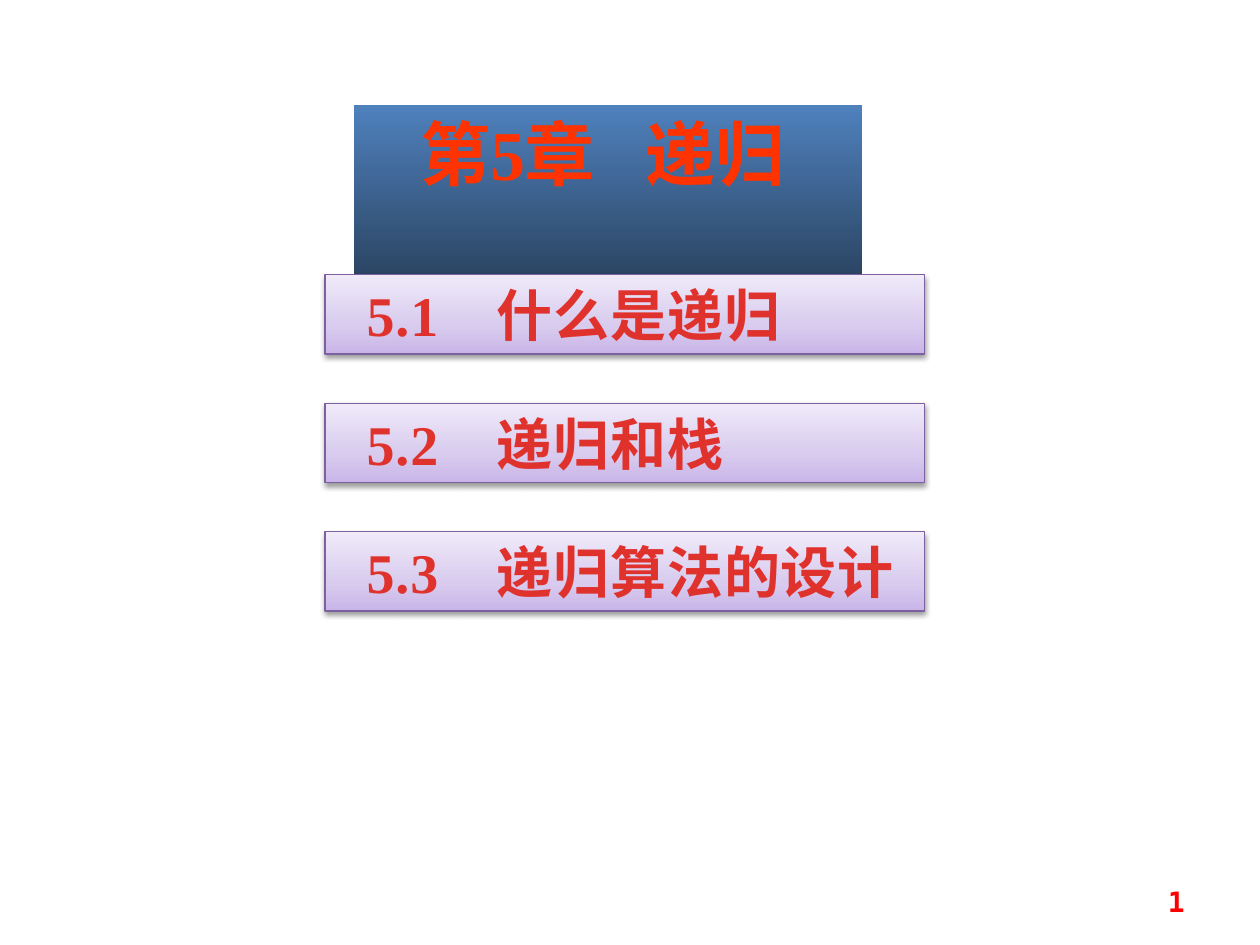
"""Build the opening slide of the chapter on recursion."""
from lxml import etree
from pptx import Presentation
from pptx.dml.color import RGBColor
from pptx.enum.shapes import MSO_SHAPE
from pptx.enum.text import MSO_ANCHOR, MSO_AUTO_SIZE, PP_ALIGN
from pptx.oxml import parse_xml
from pptx.oxml.ns import nsdecls, qn
from pptx.util import Inches, Pt

RECTANGLE = MSO_SHAPE.RECTANGLE
TOP, MIDDLE = MSO_ANCHOR.TOP, MSO_ANCHOR.MIDDLE
LEFT, CENTER, RIGHT = PP_ALIGN.LEFT, PP_ALIGN.CENTER, PP_ALIGN.RIGHT
FIT_SHAPE = MSO_AUTO_SIZE.SHAPE_TO_FIT_TEXT


def gradient(stops, angle):
    marks = "".join(
        f'<a:gs pos="{position * 1000}"><a:srgbClr val="{color}"/></a:gs>'
        for position, color in stops
    )
    return parse_xml(
        f'<a:gradFill {nsdecls("a")} rotWithShape="1"><a:gsLst>{marks}</a:gsLst>'
        f'<a:lin ang="{angle * 60000}" scaled="0"/></a:gradFill>'
    )


def write(shape, text, size, color, font="Times New Roman", align=LEFT,
          anchor=TOP, spacing=0, fit=None):
    frame = shape.text_frame
    frame.word_wrap = True
    frame.vertical_anchor = anchor
    if fit is not None:
        frame.auto_size = fit
    paragraph = frame.paragraphs[0]
    paragraph.alignment = align
    run = paragraph.add_run()
    run.text = text
    run.font.size = Pt(size)
    run.font.name = font
    run.font.bold = True
    run.font.color.rgb = RGBColor.from_string(color)
    if spacing:
        run.font._element.set("spc", str(int(spacing * 100)))
    return run


deck = Presentation()
deck.slide_width, deck.slide_height = Inches(10), Inches(7.5)
slide = deck.slides.add_slide(deck.slide_layouts[5])

chapter = slide.shapes.title
chapter.left, chapter.top = Inches(2.81), Inches(0.83)
chapter.width, chapter.height = Inches(4.03), Inches(0.77)
chapter.fill.gradient()
chapter.fill.gradient_angle = 270
for stop, color in zip(chapter.fill.gradient_stops, ("4F81BD", "263C56")):
    stop.color.rgb = RGBColor.from_string(color)
for stop, position in zip(chapter.fill.gradient_stops, (0, 1)):
    stop.position = position
chapter.text_frame.margin_right = Inches(0.18)
for part, spacing in (("第5章", 0), (" ", 20), ("递归", 0)):
    write(chapter, part, 40, "FF3300", align=CENTER, spacing=spacing, fit=FIT_SHAPE)

sections = ["什么是递归", "递归和栈", "递归算法的设计"]
for index, topic in enumerate(sections):
    section = slide.shapes.add_shape(
        RECTANGLE, Inches(2.58), Inches(2.18 + 1.02 * index), Inches(4.76), Inches(0.63)
    )
    section.line.color.rgb = RGBColor.from_string("7D60A0")
    section.line.width = Pt(0.75)
    section.shadow.inherit = False
    properties = section._element.spPr
    properties.find(qn("a:prstGeom")).addnext(
        gradient([(0, "C9B5E8"), (35, "D8CBEE"), (100, "F0EAF9")], 270)
    )
    shadow = etree.SubElement(
        properties.find(qn("a:effectLst")), qn("a:outerShdw"),
        blurRad=str(Pt(3.1)), dist=str(Pt(1.6)), dir="5400000", rotWithShape="0",
    )
    shade = etree.SubElement(shadow, qn("a:srgbClr"), val="000000")
    etree.SubElement(shade, qn("a:alpha"), val="38000")

    section.text_frame.margin_left = Inches(0.33)
    heading = write(section, f"5.{index + 1}\t{topic}", 32, "E0322D",
                    spacing=0.5, fit=FIT_SHAPE)
    letters = heading.font._element
    letters.replace(letters.find(qn("a:solidFill")),
                    gradient([(25, "E0322D"), (100, "A2201C")], 90))
    tabs = etree.SubElement(section.text_frame.paragraphs[0]._p.get_or_add_pPr(),
                            qn("a:tabLst"))
    etree.SubElement(tabs, qn("a:tab"), pos=str(Inches(1.03)), algn="l")

page_number = slide.shapes.add_textbox(Inches(7.17), Inches(6.95), Inches(2.33), Inches(0.4))
write(page_number, "1", 16, "FF0000", font="DejaVu Sans Mono", align=RIGHT, anchor=MIDDLE)

deck.save("out.pptx")
